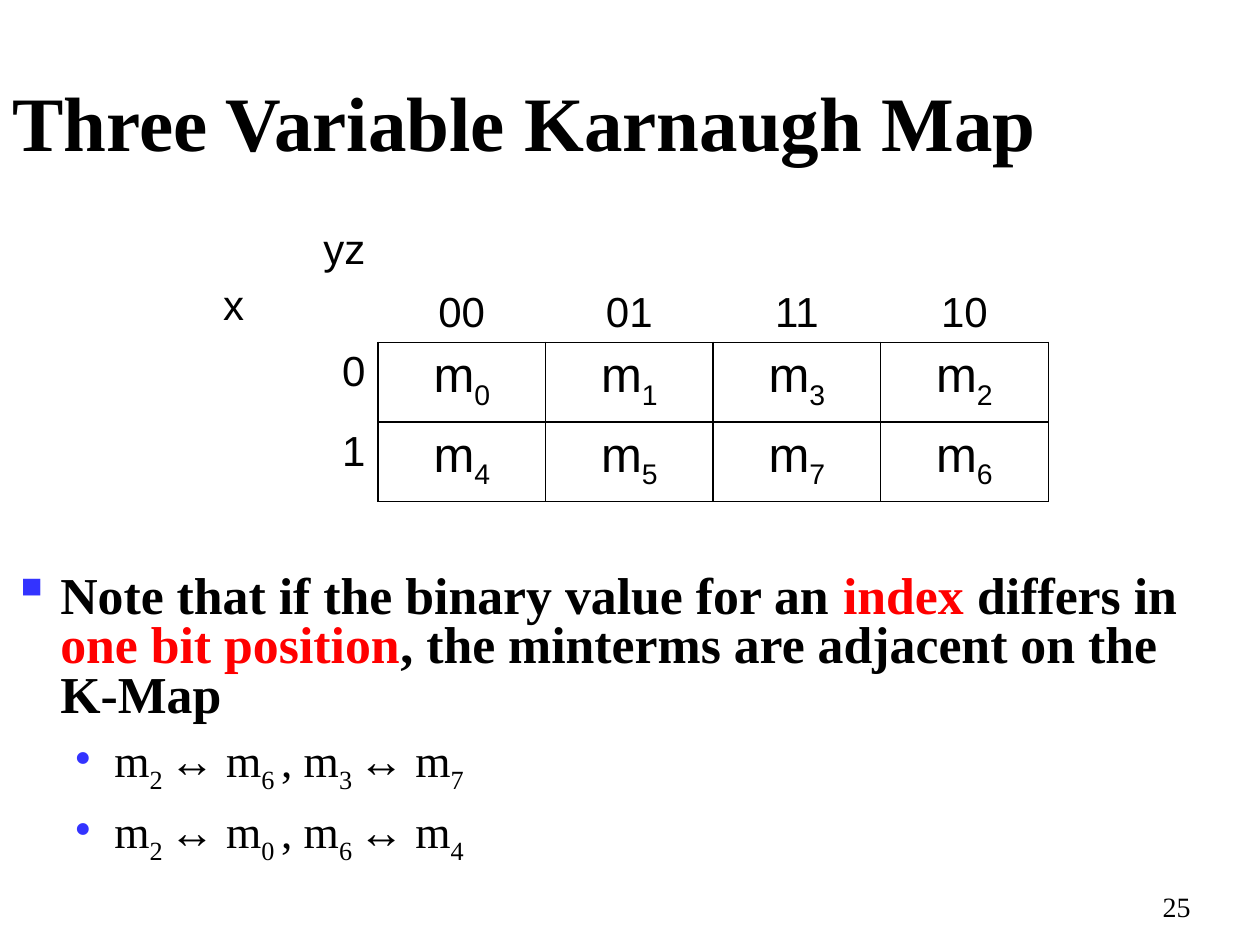
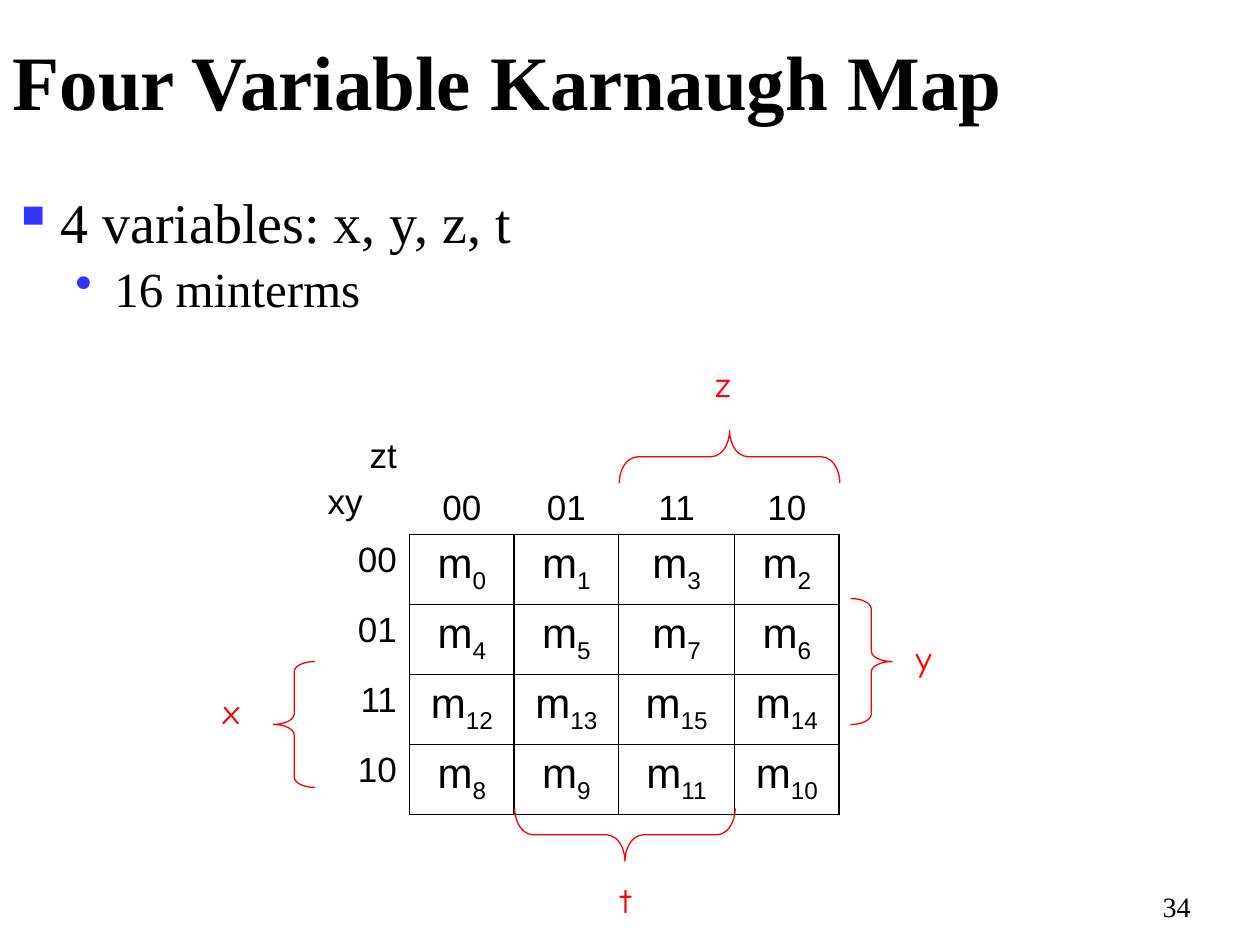
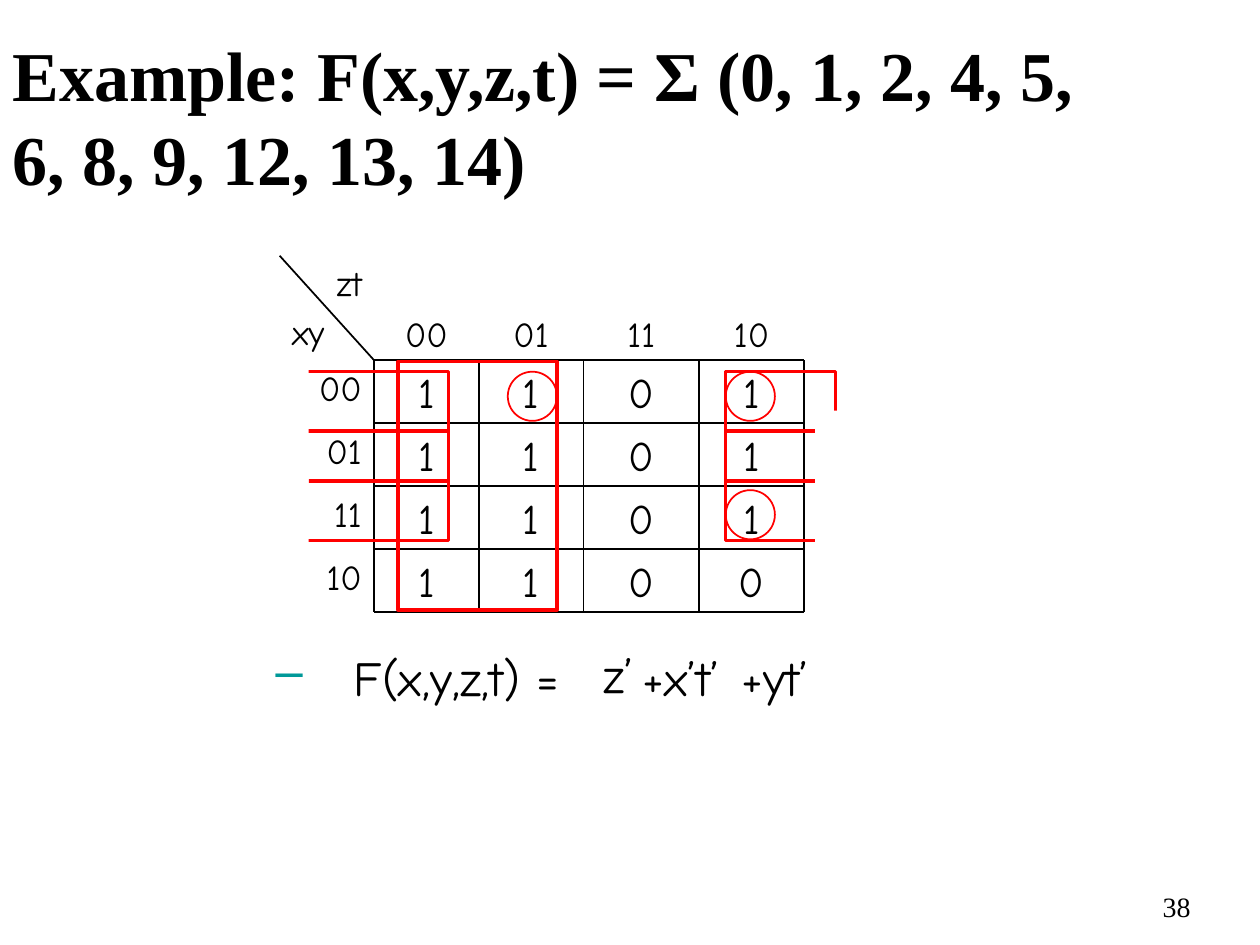
"""Build three slides on Karnaugh maps with three and four variables."""
from dataclasses import dataclass
from itertools import accumulate
from typing import Any, NamedTuple, Optional, Sequence

import pptx
import pptx.dml.color
import pptx.enum.shapes
import pptx.enum.text
import pptx.oxml
import pptx.oxml.ns
import pptx.util

RGB = pptx.dml.color.RGBColor
BLACK = RGB(0x00, 0x00, 0x00)
WHITE = RGB(0xFF, 0xFF, 0xFF)
RED = RGB(0xFF, 0x00, 0x00)
BLUE = RGB(0x33, 0x33, 0xFF)
TEAL = RGB(0x00, 0x99, 0x99)
SERIF, SANS, COMIC = "Times New Roman", "Arial", "Comic Neue"

KIND = pptx.enum.shapes.MSO_SHAPE
ANCHOR = pptx.enum.text.MSO_ANCHOR
ALIGN = pptx.enum.text.PP_ALIGN
LEFT, MID, RIGHT = ALIGN.LEFT, ALIGN.CENTER, ALIGN.RIGHT

WIDE, HIGH = 9144000, 6858000
UNIT = WIDE / 10
GRAY = (0, 1, 3, 2)
SPAN = (0.75, 0.83, 0.83, 0.92, 0.83)
ONES = {0, 1, 2, 4, 5, 6, 8, 9, 12, 13, 14}


class Box(NamedTuple):
    """Left, top, width and height in tenths of the slide's width."""
    left: float
    top: float
    wide: float
    high: float


class Mark(NamedTuple):
    """A bullet sign with its colour and indents."""
    sign: str
    tone: RGB
    edge: float
    hang: float


@dataclass
class Para:
    """A paragraph; pieces between tildes take the other look."""
    text: str
    size: float = 20
    face: str = SERIF
    tone: RGB = BLACK
    bold: bool = False
    side: Any = LEFT
    lead: float = 1.0
    mark: Optional[Mark] = None
    lower: bool = True


class Brace(NamedTuple):
    """A brace with the variable it stands for."""
    name: str
    box: Box
    turn: int
    bend: float
    label: Box


SQUARE = Mark("▪", BLUE, 0.38, 0.38)
DOT = Mark("•", BLUE, 0.81, 0.31)
DASH = Mark("–", TEAL, 0.62, 0.62)

BRACES = (
    Brace("z", Box(5.58, 2.75, 0.42, 1.75), 90, 0.35, Box(5.58, 2.83, 0.35, 0.43)),
    Brace("t", Box(4.75, 5.75, 0.42, 1.75), 270, 0.35, Box(4.83, 6.92, 0.33, 0.43)),
    Brace("x", Box(2.17, 5.25, 0.33, 1), 0, 0.25, Box(1.67, 5.42, 0.36, 0.43)),
    Brace("y", Box(6.75, 4.75, 0.33, 1), 180, 0.25, Box(7.17, 5, 0.35, 0.43)),
)


def size(*parts: float) -> list[int]:
    """Turn grid units into slide lengths."""
    return [round(part * UNIT) for part in parts]


def style(thing: Any, **looks: Any) -> None:
    """Set each given format value."""
    for key, look in looks.items():
        setattr(thing, key, look)


def node(tag: str, **marks: str) -> Any:
    """Make a drawing element with attributes."""
    item = pptx.oxml.parse_xml(f"<a:{tag} {pptx.oxml.ns.nsdecls('a')}/>")
    for key, mark in marks.items():
        item.set(key, mark)
    return item


def bullet(line: Any, mark: Mark) -> None:
    """Give a paragraph its bullet and indents."""
    props = line._p.get_or_add_pPr()
    edge, hang = size(mark.edge, mark.hang)
    props.set("marL", str(edge))
    props.set("indent", str(-hang))
    tone = node("buClr")
    tone.append(node("srgbClr", val=str(mark.tone)))
    props.extend([tone, node("buChar", char=mark.sign)])


def write(frame: Any, paras: Sequence[Para]) -> None:
    """Fill a text frame with paragraphs."""
    for rank, para in enumerate(paras):
        line = frame.add_paragraph() if rank else frame.paragraphs[0]
        gap = 0.2 * para.size if rank else 0
        style(line, alignment=para.side, line_spacing=para.lead,
              space_before=pptx.util.Pt(gap))
        if para.mark:
            bullet(line, para.mark)
        for turn, piece in enumerate(para.text.split("~")):
            other = turn % 2 == 1
            run = line.add_run()
            run.text = piece
            style(run.font, name=para.face, size=pptx.util.Pt(para.size), bold=para.bold)
            run.font.color.rgb = RED if other and not para.lower else para.tone
            if other and para.lower:
                run.font._element.set("baseline", "-25000")


def label(slide: Any, box: Box, *paras: Para, wrap: bool = True,
          anchor: Any = ANCHOR.TOP) -> None:
    """Add a text box."""
    frame = slide.shapes.add_textbox(*size(*box)).text_frame
    style(frame, word_wrap=wrap, vertical_anchor=anchor)
    write(frame, paras)


def begin(deck: Any, text: str, points: float, box: Box, page: int) -> Any:
    """Add a slide with its title and page number."""
    slide = deck.slides.add_slide(deck.slide_layouts[5])
    title = slide.shapes.title
    style(title, **dict(zip(("left", "top", "width", "height"), size(*box))))
    style(title.text_frame, word_wrap=True, vertical_anchor=ANCHOR.MIDDLE,
          auto_size=pptx.enum.text.MSO_AUTO_SIZE.NONE)
    write(title.text_frame, [Para(text, points, bold=True)])
    label(slide, Box(9.13, 7.01, 0.73, 0.49), Para(str(page), 16))
    return slide


def shape(slide: Any, kind: Any, box: Box, line: float = 0,
          fill: Optional[RGB] = None) -> Any:
    """Add a shape with a red line, a plain fill, or both."""
    item = slide.shapes.add_shape(kind, *size(*box))
    item.shadow.inherit = False
    if fill is None:
        item.fill.background()
    else:
        item.fill.solid()
        item.fill.fore_color.rgb = fill
    if line:
        item.line.color.rgb = RED
        item.line.width = pptx.util.Pt(line)
    else:
        item.line.fill.background()
    return item


def rule(slide: Any, *ends: float) -> None:
    """Draw a thin black line."""
    line = slide.shapes.add_connector(pptx.enum.shapes.MSO_CONNECTOR.STRAIGHT, *size(*ends))
    line.line.color.rgb = BLACK
    line.line.width = pptx.util.Pt(1)
    line._element.spPr.append(node("effectLst"))


def border(cell: Any, sides: str) -> None:
    """Draw the named sides of a cell and clear the others."""
    props = cell._tc.get_or_add_tcPr()
    for rank, side in enumerate("LRTB"):
        edge = node(f"ln{side}", w="12700")
        if side in sides:
            paint = node("solidFill")
            paint.append(node("srgbClr", val=str(BLACK)))
        else:
            paint = node("noFill")
        edge.append(paint)
        props.insert(rank, edge)


def corner(over: str, down: str, points: float, face: str) -> list[Para]:
    """Name the variables over the columns and down the rows."""
    return [Para(over, points, face, side=RIGHT), Para(down, points, face)]


def table(slide: Any, box: Box, cols: Sequence[float], head: float,
          names: tuple[str, str], codes: Sequence[int], points: float) -> None:
    """Draw a map of minterms as a table."""
    count = len(codes) + 1
    grid = slide.shapes.add_table(count, len(cols), *size(*box)).table
    style(grid, first_row=False, horz_banding=False)
    for col, wide in zip(grid.columns, size(*cols)):
        col.width = wide
    for rank, row in enumerate(grid.rows):
        row.height = size((box.high - head) / len(codes) if rank else head)[0]
    bits = len(names[1])
    for r in range(count):
        for c in range(len(cols)):
            cell = grid.cell(r, c)
            if r and c:
                number = 4 * codes[r - 1] + GRAY[c - 1]
                paras, sides = [Para(f"m~{number}", points + 4, SANS, side=MID)], "LRTB"
            elif r:
                paras = [Para(f"{codes[r - 1]:0{bits}b}", points, SANS, side=RIGHT)]
                sides = "R"
            elif c:
                paras, sides = [Para(f"{GRAY[c - 1]:02b}", points, SANS, side=MID)], "B"
                cell.vertical_anchor = ANCHOR.BOTTOM
            else:
                paras, sides = corner(*names, points, SANS), ""
            border(cell, sides)
            cell.fill.background()
            write(cell.text_frame, paras)


def sketch(slide: Any, left: float, top: float) -> None:
    """Draw the truth values of a map with lines and text boxes."""
    rows = (0.83, 0.5, 0.5, 0.5, 0.5)
    xs = list(accumulate(SPAN, initial=left))
    ys = list(accumulate(rows, initial=top))
    for r, high in enumerate(rows):
        for c, wide in enumerate(SPAN):
            anchor = ANCHOR.TOP
            if r and c:
                bit = int(4 * GRAY[r - 1] + GRAY[c - 1] in ONES)
                paras = [Para(str(bit), 24, COMIC, side=MID)]
            elif r:
                paras = [Para(f"{GRAY[r - 1]:02b}", 20, COMIC, side=RIGHT)]
            elif c:
                paras = [Para(f"{GRAY[c - 1]:02b}", 20, COMIC, side=MID)]
                anchor = ANCHOR.BOTTOM
            else:
                paras = corner("zt", "xy", 20, COMIC)
            label(slide, Box(xs[c], ys[r], wide, high), *paras, anchor=anchor)
    rule(slide, xs[0], ys[0], xs[1], ys[1])
    for x in xs[1:]:
        rule(slide, x, ys[1], x, ys[-1])
    for y in ys[1:]:
        rule(slide, xs[1], y, xs[-1], y)


def circle(slide: Any, left: float, top: float) -> None:
    """Ring one value of the map."""
    shape(slide, KIND.OVAL, Box(left, top, 0.39, 0.39), 1)


def wrap(slide: Any, top: float, closed: bool) -> None:
    """Loop values that meet around the map's sides."""
    shape(slide, KIND.RECTANGLE, Box(5.76, top, 0.87, 0.87), 2)
    shape(slide, KIND.RECTANGLE, Box(2.3, top, 1.26, 0.87), 2)
    for left in (2.06,) if closed else (2.06, 6.47):
        shape(slide, KIND.RECTANGLE, Box(left, top - 0.16, 0.39, 1.26), fill=WHITE)


def three(deck: Any) -> None:
    """Build the slide on three variables."""
    slide = begin(deck, "Three Variable Karnaugh Map", 44, Box(0, 0.5, 9, 0.92), 25)
    note = ("Note that if the binary value for an ~index ~differs in "
            "~one bit position~, the minterms are adjacent on the K-Map")
    pairs = ("m~2 ~↔ m~6 ~, m~3 ~↔ m~7", "m~2 ~↔ m~0 ~, m~6 ~↔ m~4")
    label(slide, Box(0, 4.51, 9.52, 2.4),
          Para(note, 29.6, bold=True, lead=0.8, mark=SQUARE, lower=False),
          *(Para(pair, 25.9, mark=DOT) for pair in pairs))
    table(slide, Box(1.67, 1.75, 6.67, 2.11), [1.33] * 5, 0.91, ("yz", "x"), (0, 1), 24)


def four(deck: Any) -> None:
    """Build the slide on four variables."""
    slide = begin(deck, "Four Variable Karnaugh Map", 44, Box(0, 0.13, 9, 1), 34)
    label(slide, Box(0, 1.5, 9, 1.11),
          Para("4 variables: x, y, z, t", 32, lead=0.9, mark=SQUARE),
          Para("16 minterms", 28, lead=0.9, mark=DOT))
    table(slide, Box(2.5, 3.42, 4.17, 2.85), SPAN, 0.77, ("zt", "xy"), GRAY, 20)
    for brace in BRACES:
        item = shape(slide, KIND.LEFT_BRACE, brace.box, 0.75)
        item.rotation = brace.turn
        item.adjustments[0] = brace.bend
        label(slide, brace.label, Para(brace.name, 20, COMIC, RED), wrap=False)


def example(deck: Any) -> None:
    """Build the slide with the worked example."""
    slide = begin(deck, "Example: F(x,y,z,t) = Σ (0, 1, 2, 4, 5, 6, 8, 9, 12, 13, 14)",
                  40, Box(0, 0.17, 9, 1.5), 38)
    sketch(slide, 2.22, 2.03)
    for left, top in ((4.03, 2.95), (5.76, 2.95), (5.76, 3.89)):
        circle(slide, left, top)
    shape(slide, KIND.RECTANGLE, Box(3.16, 2.87, 1.26, 1.97), 2)
    wrap(slide, 2.95, True)
    wrap(slide, 3.42, False)
    label(slide, Box(2.09, 5.09, 2.76, 0.57), Para("F(x,y,z,t) =", 28, COMIC, mark=DASH))
    terms = (("z’", 4.69, 5.07, 0.61), ("+x’t’", 5, 5.09, 0.94), ("+yt’", 5.79, 5.09, 0.86))
    for term, left, top, wide in terms:
        label(slide, Box(left, top, wide, 0.57), Para(term, 28, COMIC))


def main() -> None:
    """Build and save the deck."""
    deck = pptx.Presentation()
    style(deck, slide_width=WIDE, slide_height=HIGH)
    for build in (three, four, example):
        build(deck)
    deck.save("out.pptx")


if __name__ == "__main__":
    main()
